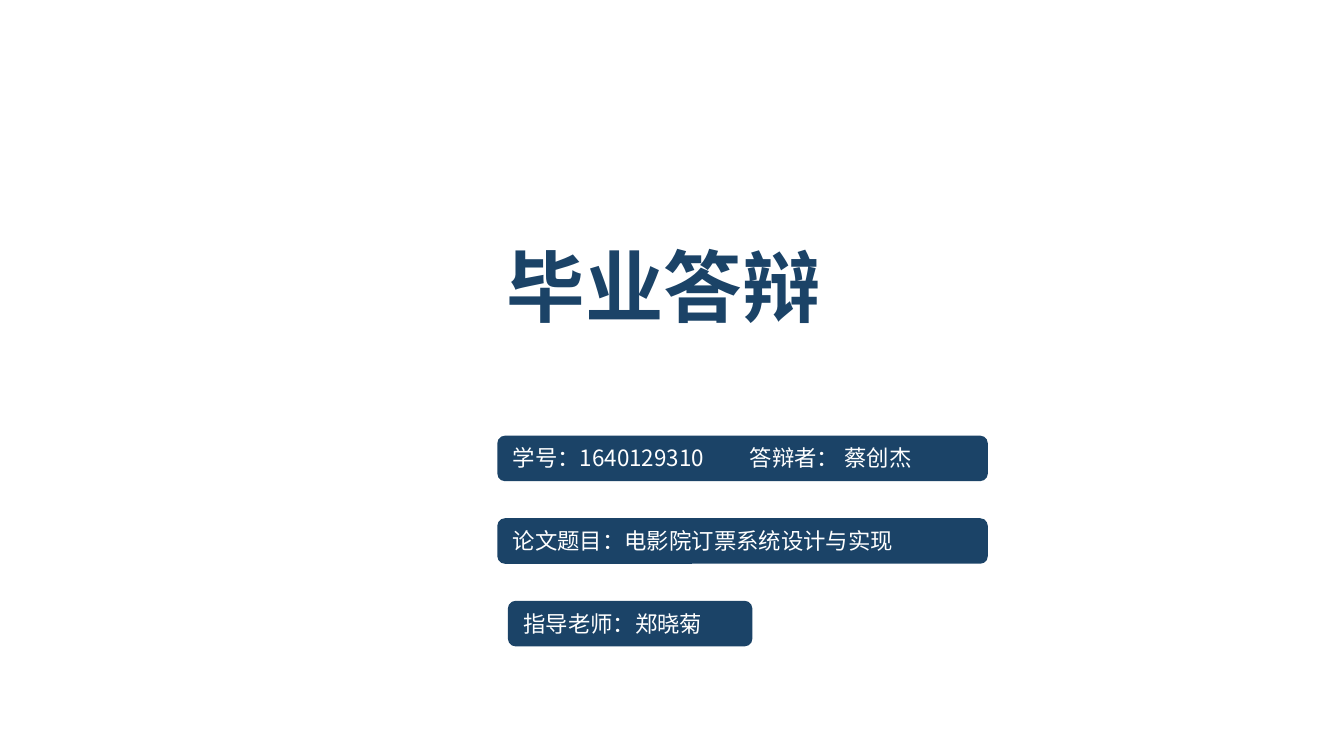
from lxml.etree import SubElement
from pptx import Presentation
from pptx.dml.color import RGBColor as RGB
from pptx.enum.shapes import MSO_SHAPE as SHAPE
from pptx.enum.text import MSO_ANCHOR as ANCHOR, MSO_AUTO_SIZE as AUTO, PP_ALIGN as ALIGN
from pptx.oxml.ns import qn
from pptx.util import Cm, Pt

# Content
TITLE = "毕业答辩"
# text, left, width (cm)
BARS = [
    ("学号：1640129310\t答辩者： 蔡创杰", 9.4, 9.27),
    ("论文题目：电影院订票系统设计与实现", 9.4, 9.27),
    ("指导老师：郑晓菊", 9.6, 4.62),
]

THEME = {
    "font": "Noto Sans CJK SC",
    "navy": RGB.from_string("1B4367"),
    "white": RGB.from_string("FFFFFF"),
    "title": Pt(42),
    "body": Pt(12),
}
BAR_TOP, BAR_HEIGHT, BAR_STEP = 8.23, 0.86, 1.56
NAME_TAB = 4.48

FRAME = {"word_wrap": True, "auto_size": AUTO.SHAPE_TO_FIT_TEXT}


def set_all(obj, values):
    for name, value in values.items():
        setattr(obj, name, value)


def write(sp, text, size, color, bold=False):
    tf = sp.text_frame
    set_all(tf, FRAME)
    p = tf.paragraphs[0]
    p.alignment = ALIGN.LEFT
    r = p.add_run()
    r.text = text
    set_all(r.font, {"name": THEME["font"], "size": size, "bold": bold})
    r.font.color.rgb = color
    SubElement(r.font._element, qn("a:ea"), typeface=THEME["font"])
    return p


def add_tab(p, pos):
    tabs = SubElement(p._p.get_or_add_pPr(), qn("a:tabLst"))
    SubElement(tabs, qn("a:tab"), pos=str(Cm(pos)), algn="l")


prs = Presentation()
prs.slide_width, prs.slide_height = Cm(25.4), Cm(14.28)
s = prs.slides.add_slide(prs.slide_layouts[6])

# Title
sp = s.shapes.add_textbox(Cm(9.4), Cm(4.4), Cm(14.83), Cm(1.98))
set_all(sp.text_frame, {
    "margin_left": Cm(0.18), "margin_right": Cm(0.18),
    "margin_top": Cm(0.1), "margin_bottom": Cm(0.1),
})
write(sp, TITLE, THEME["title"], THEME["navy"], bold=True)

# Detail bars
for i, (text, left, width) in enumerate(BARS):
    sp = s.shapes.add_shape(SHAPE.ROUNDED_RECTANGLE, Cm(left),
                            Cm(BAR_TOP + i * BAR_STEP), Cm(width), Cm(BAR_HEIGHT))
    sp.shadow.inherit = False
    sp.fill.solid()
    sp.fill.fore_color.rgb = THEME["navy"]
    sp.line.fill.background()
    sp.text_frame.vertical_anchor = ANCHOR.TOP
    p = write(sp, text, THEME["body"], THEME["white"])
    if "\t" in text:
        add_tab(p, NAME_TAB)

prs.save("out.pptx")
